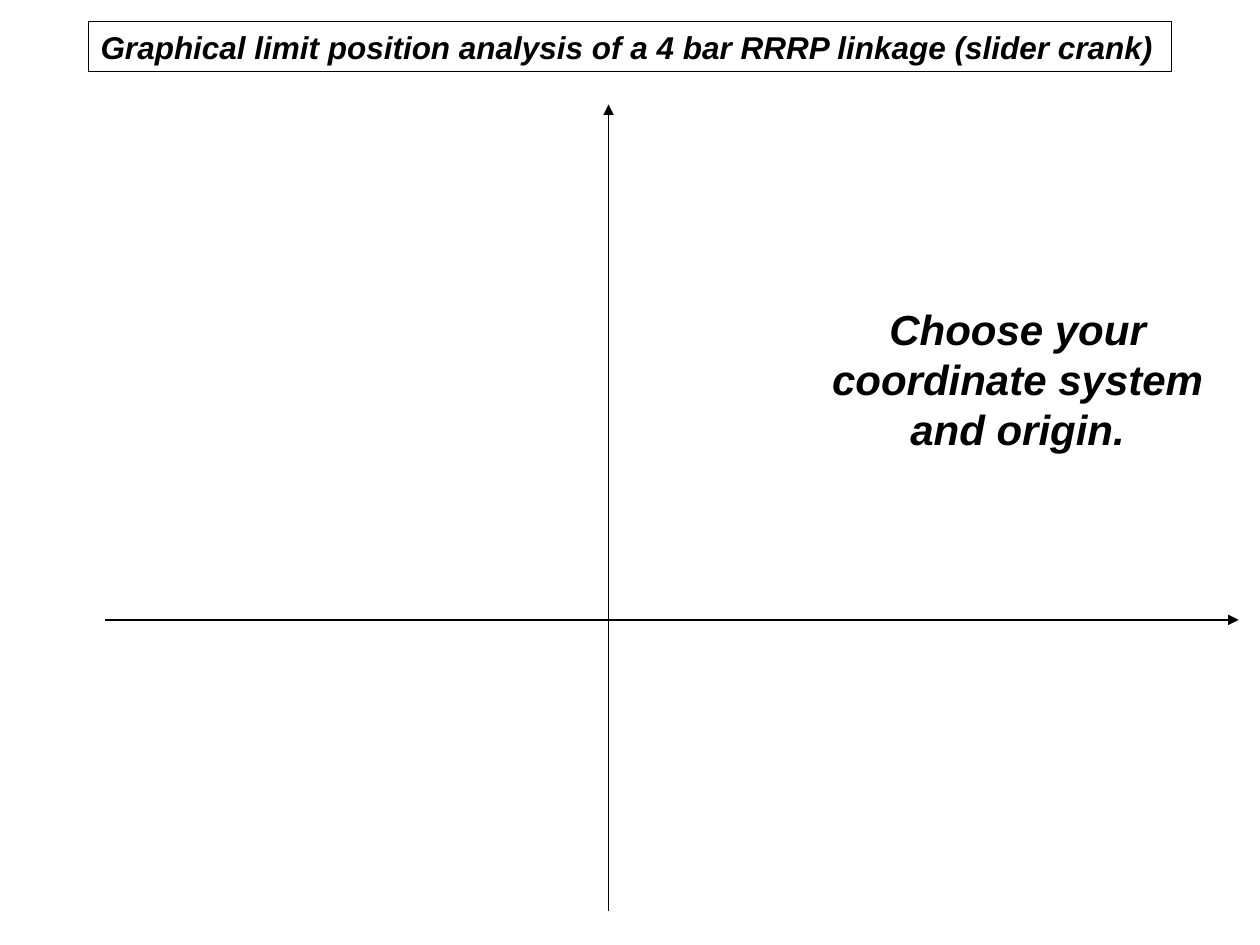
from dataclasses import dataclass

from lxml import etree
from pptx import Presentation
from pptx.dml.color import RGBColor
from pptx.enum.shapes import MSO_CONNECTOR, MSO_SHAPE
from pptx.enum.text import MSO_ANCHOR, PP_ALIGN
from pptx.oxml.ns import qn
from pptx.util import Inches, Pt

STRAIGHT = MSO_CONNECTOR.STRAIGHT
RECT, SCROLL = MSO_SHAPE.RECTANGLE, MSO_SHAPE.HORIZONTAL_SCROLL
LEFT, CENTER = PP_ALIGN.LEFT, PP_ALIGN.CENTER
TOP, MIDDLE = MSO_ANCHOR.TOP, MSO_ANCHOR.MIDDLE

WIDE, HIGH = 10, 7.5
ORIGIN = (4.83, 4.92)
THIN = Pt(0.75)
COLORS = {"ink": "000000", "paper": "FFFFFF"}


@dataclass(frozen=True)
class Axis:
    start: tuple[float, float]
    tip: tuple[float, float]


@dataclass(frozen=True)
class Box:
    left: float
    top: float
    width: float
    height: float


AXES = (
    Axis((ORIGIN[0], 7.23), (ORIGIN[0], 0.83)),
    Axis((0.83, ORIGIN[1]), (9.83, ORIGIN[1])),
)
TITLE = Box(0.7, 0.17, 8.6, 0.4)
NOTE = Box(6.25, 2.42, 3.58, 1.17)


def color(name: str) -> RGBColor:
    return RGBColor.from_string(COLORS[name])


def draw_axis(slide, axis: Axis) -> None:
    ends = [Inches(v) for v in (*axis.start, *axis.tip)]
    line = slide.shapes.add_connector(STRAIGHT, *ends)
    line.line.color.rgb = color("ink")
    line.line.width = THIN
    etree.SubElement(line.line._get_or_add_ln(), qn("a:tailEnd"), type="triangle")
    etree.SubElement(line._element.spPr, qn("a:effectLst"))


def draw_box(slide, kind, box: Box, *, edge: str, fill: str | None = None):
    place = [Inches(v) for v in (box.left, box.top, box.width, box.height)]
    shape = slide.shapes.add_shape(kind, *place)
    shape.shadow.inherit = False
    if fill:
        shape.fill.solid()
        shape.fill.fore_color.rgb = color(fill)
    else:
        shape.fill.background()
    shape.line.color.rgb = color(edge)
    shape.line.width = THIN
    return shape


def write(shape, text: str, *, size: int, align=LEFT, anchor=TOP) -> None:
    frame = shape.text_frame
    frame.word_wrap = True
    frame.vertical_anchor = anchor
    para = frame.paragraphs[0]
    para.alignment = align
    run = para.add_run()
    run.text = text
    font = run.font
    font.name, font.size = "Arial", Pt(size)
    font.bold = font.italic = True
    font.color.rgb = color("ink")


def main() -> None:
    deck = Presentation()
    deck.slide_width, deck.slide_height = Inches(WIDE), Inches(HIGH)
    slide = deck.slides.add_slide(deck.slide_layouts[6])

    for axis in AXES:
        draw_axis(slide, axis)

    title = draw_box(slide, RECT, TITLE, edge="ink", fill="paper")
    write(
        title,
        "Graphical limit position analysis of a 4 bar RRRP linkage (slider crank)",
        size=18,
    )
    note = draw_box(slide, SCROLL, NOTE, edge="paper")
    write(
        note,
        "Choose your coordinate system and origin.",
        size=24,
        align=CENTER,
        anchor=MIDDLE,
    )
    deck.save("out.pptx")


if __name__ == "__main__":
    main()
